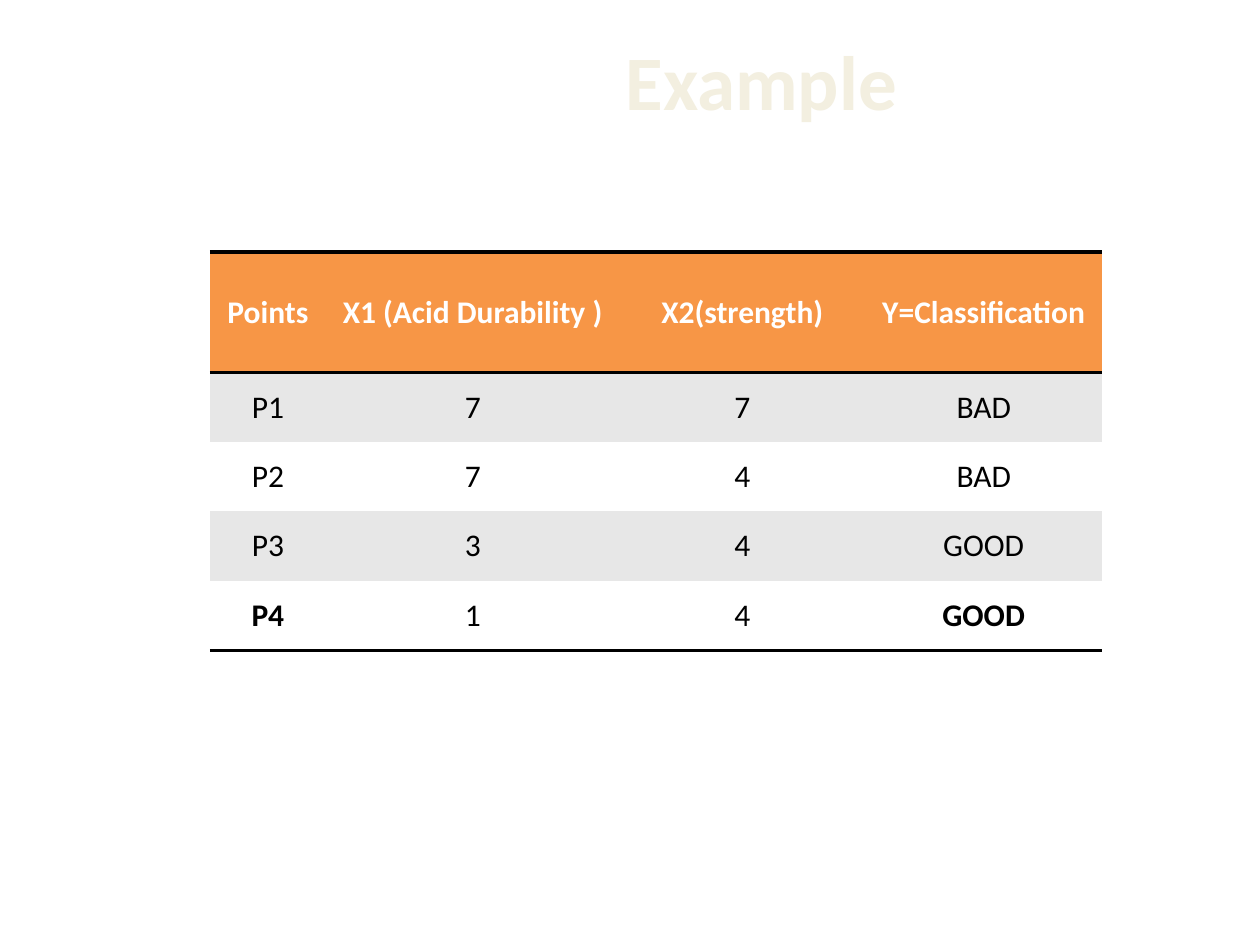
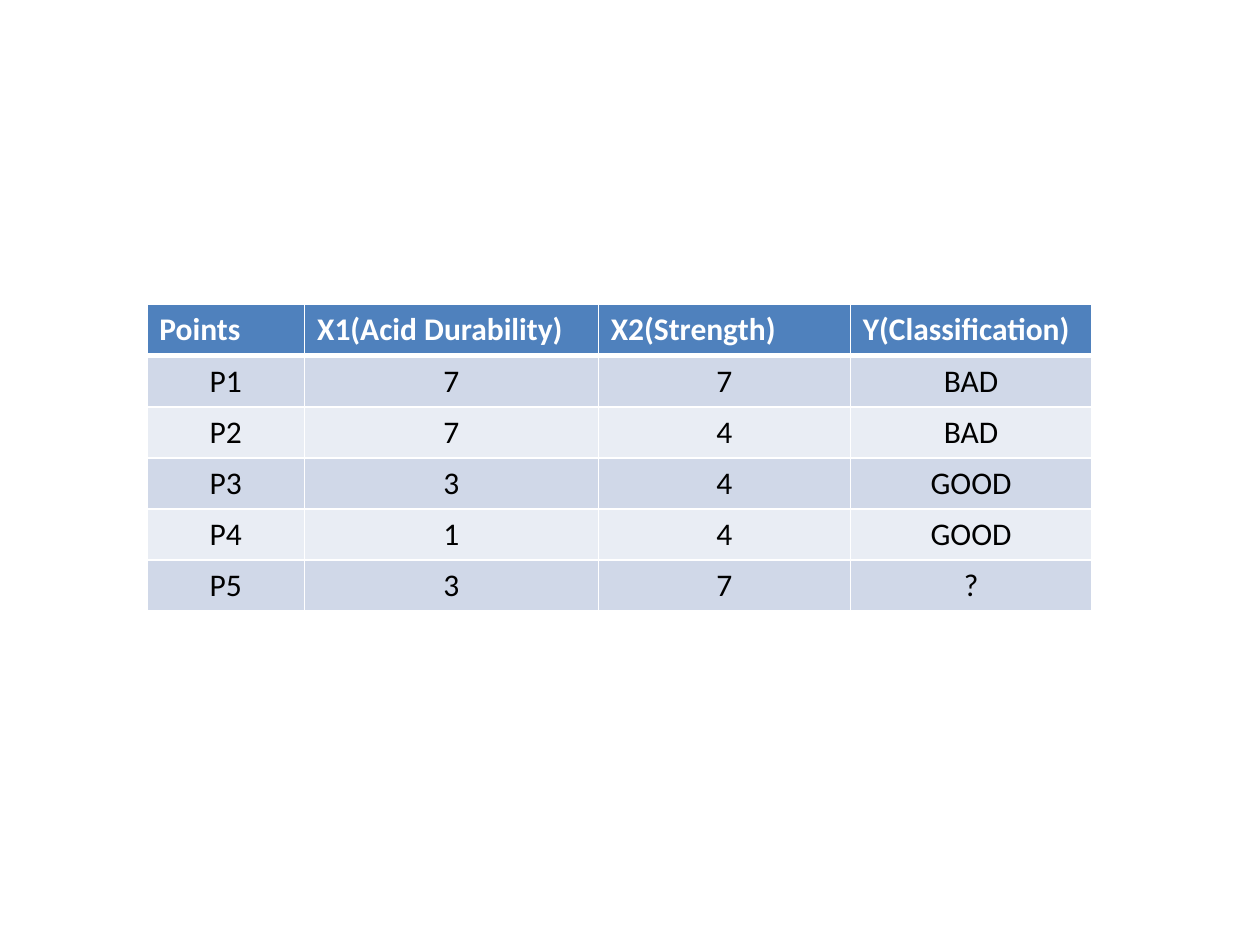
import lxml.etree
import pptx
import pptx.dml.color
import pptx.enum.text
import pptx.oxml.ns
import pptx.util

Cm, Pt = pptx.util.Cm, pptx.util.Pt
PP_ALIGN = pptx.enum.text.PP_ALIGN
MSO_ANCHOR = pptx.enum.text.MSO_ANCHOR
qn = pptx.oxml.ns.qn

FONT = "Calibri"
COLOURS = {
    "white": "FFFFFF",
    "black": "000000",
    "cream": "F3EFE0",
    "orange": "F79646",
    "grey": "E7E7E7",
    "blue": "4F81BD",
    "blue_band": "D0D8E8",
    "blue_light": "E9EDF4",
}
NO_STYLE = "{2D5ABB26-0587-4C30-8999-92F81FD0307C}"
KNOWN_POINTS = [
    ["P1", "7", "7", "BAD"],
    ["P2", "7", "4", "BAD"],
    ["P3", "3", "4", "GOOD"],
    ["P4", "1", "4", "GOOD"],
]

# rules: widths in points of the horizontal lines, from top to bottom
EXAMPLES = [
    {
        "title": "Example",
        "left": 4.23, "top": 5.08,
        "columns": [2.34, 5.92, 4.95, 4.78], "header_height": 2.43, "row_height": 1.4,
        "header": ["Points", "X1 (Acid Durability )", "X2(strength)", "Y=Classification"],
        "points": KNOWN_POINTS, "bold": {"P4": [0, 3]},
        "header_align": PP_ALIGN.CENTER, "header_anchor": MSO_ANCHOR.MIDDLE,
        "header_fill": "orange", "bands": ["grey", "white"],
        "line": "black", "rules": [2, 2, 0, 0, 0, 2], "side": 0,
    },
    {
        "title": None,
        "left": 2.96, "top": 6.14,
        "columns": [3.18, 5.92, 5.08, 4.87], "header_height": 1.03, "row_height": 1.03,
        "header": ["Points", "X1(Acid Durability)", "X2(Strength)", "Y(Classification)"],
        "points": KNOWN_POINTS + [["P5", "3", "7", "?"]], "bold": {},
        "header_align": PP_ALIGN.LEFT, "header_anchor": MSO_ANCHOR.TOP,
        "header_fill": "blue", "bands": ["blue_band", "blue_light"],
        "line": "white", "rules": [1, 3, 1, 1, 1, 1, 1], "side": 1,
    },
]


def style_font(paragraph, size, colour, bold):
    font = paragraph.font
    font.name, font.size, font.bold = FONT, Pt(size), bold
    font.color.rgb = pptx.dml.color.RGBColor.from_string(COLOURS[colour])


def set_borders(cell, colour, widths):
    """Draw the left, right, top and bottom borders; a width of 0 means no line."""
    properties = cell._tc.get_or_add_tcPr()
    for position, (tag, width) in enumerate(zip(["a:lnL", "a:lnR", "a:lnT", "a:lnB"], widths)):
        line = lxml.etree.Element(qn(tag), w=str(Pt(width)))
        if width:
            fill = lxml.etree.SubElement(line, qn("a:solidFill"))
            lxml.etree.SubElement(fill, qn("a:srgbClr"), val=COLOURS[colour])
        else:
            lxml.etree.SubElement(line, qn("a:noFill"))
        properties.insert(position, line)


presentation = pptx.Presentation()
presentation.slide_width, presentation.slide_height = Cm(25.4), Cm(19.05)

for example in EXAMPLES:
    slide = presentation.slides.add_slide(presentation.slide_layouts[6])

    if example["title"]:
        title = slide.shapes.add_textbox(Cm(5.35), Cm(0.34), Cm(20), Cm(2.54))
        title.text_frame.word_wrap = True
        title.text_frame.vertical_anchor = MSO_ANCHOR.MIDDLE
        paragraph = title.text_frame.paragraphs[0]
        paragraph.text = example["title"]
        paragraph.alignment = PP_ALIGN.CENTER
        style_font(paragraph, 44, "cream", True)

    rows = [example["header"]] + example["points"]
    heights = [example["header_height"]] + [example["row_height"]] * len(example["points"])
    frame = slide.shapes.add_table(
        len(rows), len(example["columns"]), Cm(example["left"]), Cm(example["top"]),
        Cm(sum(example["columns"])), Cm(sum(heights)))
    table = frame.table
    table._tbl.tblPr.find(qn("a:tableStyleId")).text = NO_STYLE
    for column, width in zip(table.columns, example["columns"]):
        column.width = Cm(width)

    for row_index, (values, height) in enumerate(zip(rows, heights)):
        table.rows[row_index].height = Cm(height)
        is_header = row_index == 0
        fill = example["header_fill"] if is_header else example["bands"][(row_index - 1) % 2]
        for column_index, value in enumerate(values):
            cell = table.cell(row_index, column_index)
            cell.fill.solid()
            cell.fill.fore_color.rgb = pptx.dml.color.RGBColor.from_string(COLOURS[fill])
            cell.vertical_anchor = example["header_anchor"] if is_header else MSO_ANCHOR.MIDDLE
            paragraph = cell.text_frame.paragraphs[0]
            paragraph.text = value
            paragraph.alignment = example["header_align"] if is_header else PP_ALIGN.CENTER
            bold = is_header or column_index in example["bold"].get(values[0], [])
            style_font(paragraph, 18, "white" if is_header else "black", bold)
            set_borders(cell, example["line"], [
                example["side"], example["side"],
                example["rules"][row_index], example["rules"][row_index + 1]])

presentation.save("out.pptx")
